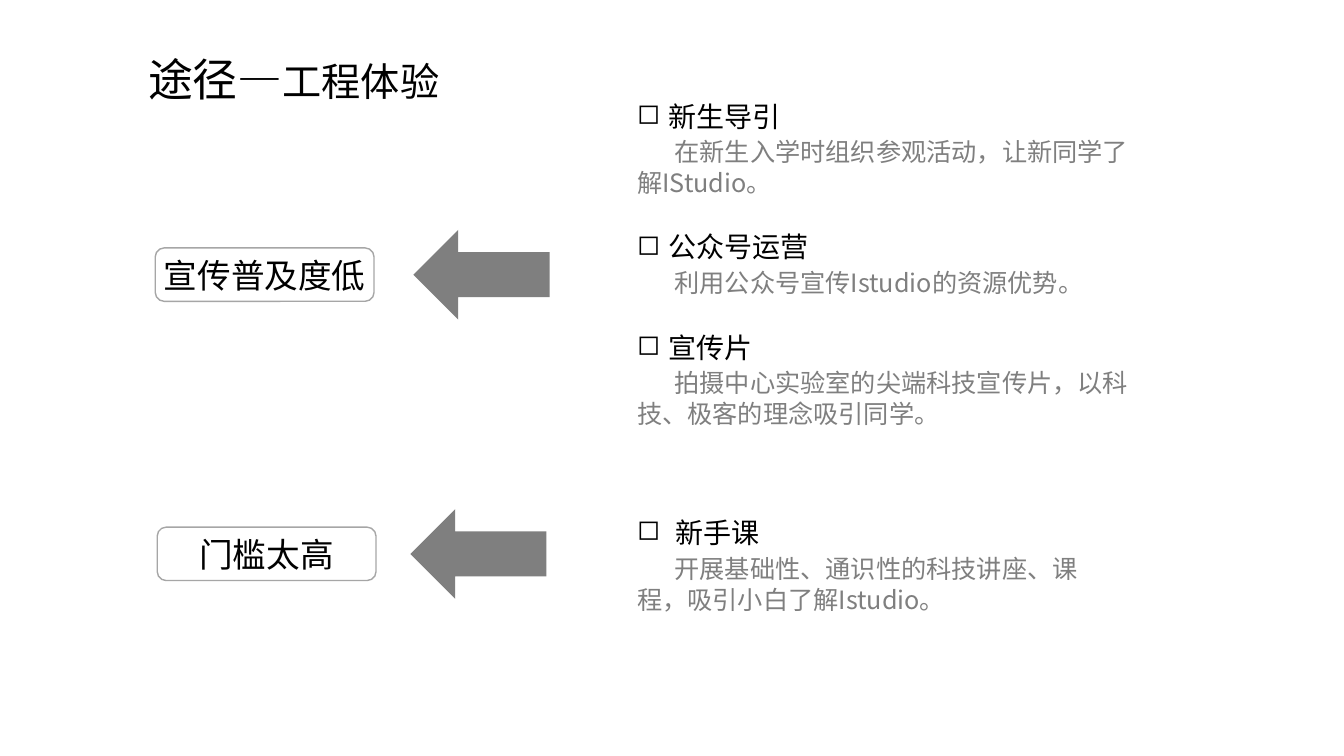
from lxml import etree
from pptx import Presentation
from pptx.dml.color import RGBColor
from pptx.enum.shapes import MSO_SHAPE
from pptx.enum.text import MSO_ANCHOR, PP_ALIGN
from pptx.oxml.ns import qn
from pptx.util import Inches, Pt

PILL, ARROW = MSO_SHAPE.ROUNDED_RECTANGLE, MSO_SHAPE.LEFT_ARROW
MIDDLE, CENTER = MSO_ANCHOR.MIDDLE, PP_ALIGN.CENTER

FONT = "Noto Sans CJK SC"
BLACK, GRAY, OUTLINE = "000000", "7F7F7F", "A6A6A6"
PILL_W, PILL_H, ARROW_W = 2.17, 0.53, 1.35
BODY_INDENT = 0.37

TITLE = [("途径—", 32), ("工程体验", 28)]
# label, row box, text box, bullet indent, (heading, body) pairs
ROWS = [
    ("宣传普及度低", (1.54, 2.28, 3.91, 0.89), (6.22, 0.92, 5.19, 3.4), 0.31, [
        ("新生导引", "在新生入学时组织参观活动，让新同学了解IStudio。"),
        ("公众号运营", "利用公众号宣传Istudio的资源优势。"),
        ("宣传片", "拍摄中心实验室的尖端科技宣传片，以科技、极客的理念吸引同学。"),
    ]),
    ("门槛太高", (1.56, 5.05, 3.86, 0.89), (6.22, 5.05, 4.69, 1.11), 0.38, [
        ("新手课", "开展基础性、通识性的科技讲座、课程，吸引小白了解Istudio。"),
    ]),
]


def rgb(color):
    return RGBColor.from_string(color)


def style(r, size, color=BLACK):
    r.font.size = Pt(size)
    r.font.color.rgb = rgb(color)
    r.font.name = FONT
    etree.SubElement(r.font._element, qn("a:ea")).set("typeface", FONT)


def indent(p, left, first, bullet=None):
    """Set left margin and first-line indent in inches, with an optional bullet."""
    pPr = p._p.get_or_add_pPr()
    pPr.set("marL", str(Inches(left)))
    pPr.set("indent", str(Inches(first)))
    if bullet:
        etree.SubElement(pPr, qn("a:buChar")).set("char", bullet)


def add_text_box(slide, box):
    tf = slide.shapes.add_textbox(*map(Inches, box)).text_frame
    tf.word_wrap = True
    return tf


def add_plain_shape(slide, kind, box):
    sp = slide.shapes.add_shape(kind, *map(Inches, box))
    sp.shadow.inherit = False
    return sp


def add_title(slide, box):
    tf = add_text_box(slide, box)
    tf.vertical_anchor = MIDDLE
    for text, size in TITLE:
        r = tf.paragraphs[0].add_run()
        r.text = text
        style(r, size)


def add_problem(slide, box, label):
    """Outlined label at the left of the box, arrow pointing to it at the right."""
    x, y, w, h = box
    sp = add_plain_shape(slide, PILL, (x, y + (h - PILL_H) / 2, PILL_W, PILL_H))
    sp.fill.background()
    sp.line.color.rgb = rgb(OUTLINE)
    sp.line.width = Pt(1)
    tf = sp.text_frame
    tf.word_wrap = False
    tf.vertical_anchor = MIDDLE
    tf.margin_left = tf.margin_right = tf.margin_top = tf.margin_bottom = 0
    p = tf.paragraphs[0]
    p.text = label
    p.alignment = CENTER
    style(p.runs[0], 24)

    arrow = add_plain_shape(slide, ARROW, (x + w - ARROW_W, y, ARROW_W, h))
    arrow.fill.solid()
    arrow.fill.fore_color.rgb = rgb(GRAY)
    arrow.line.fill.background()


def add_measures(slide, box, bullet_indent, measures):
    tf = add_text_box(slide, box)
    for i, (heading, body) in enumerate(measures):
        p = tf.add_paragraph() if i else tf.paragraphs[0]
        p.text = heading
        p.line_spacing = Pt(25)
        p.space_before = Pt(22 if i else 0)
        indent(p, bullet_indent, -bullet_indent, "◻")
        style(p.runs[0], 20)

        p = tf.add_paragraph()
        p.text = body
        p.line_spacing = Pt(22)
        p.space_before = Pt(2.5)
        indent(p, 0, BODY_INDENT)
        style(p.runs[0], 18, GRAY)


def main():
    prs = Presentation()
    prs.slide_width, prs.slide_height = Inches(13.33), Inches(7.5)
    slide = prs.slides.add_slide(prs.slide_layouts[6])
    add_title(slide, (1.37, 0.45, 7.78, 0.66))
    for label, row_box, text_box, bullet_indent, measures in ROWS:
        add_problem(slide, row_box, label)
        add_measures(slide, text_box, bullet_indent, measures)
    prs.save("out.pptx")


if __name__ == "__main__":
    main()
